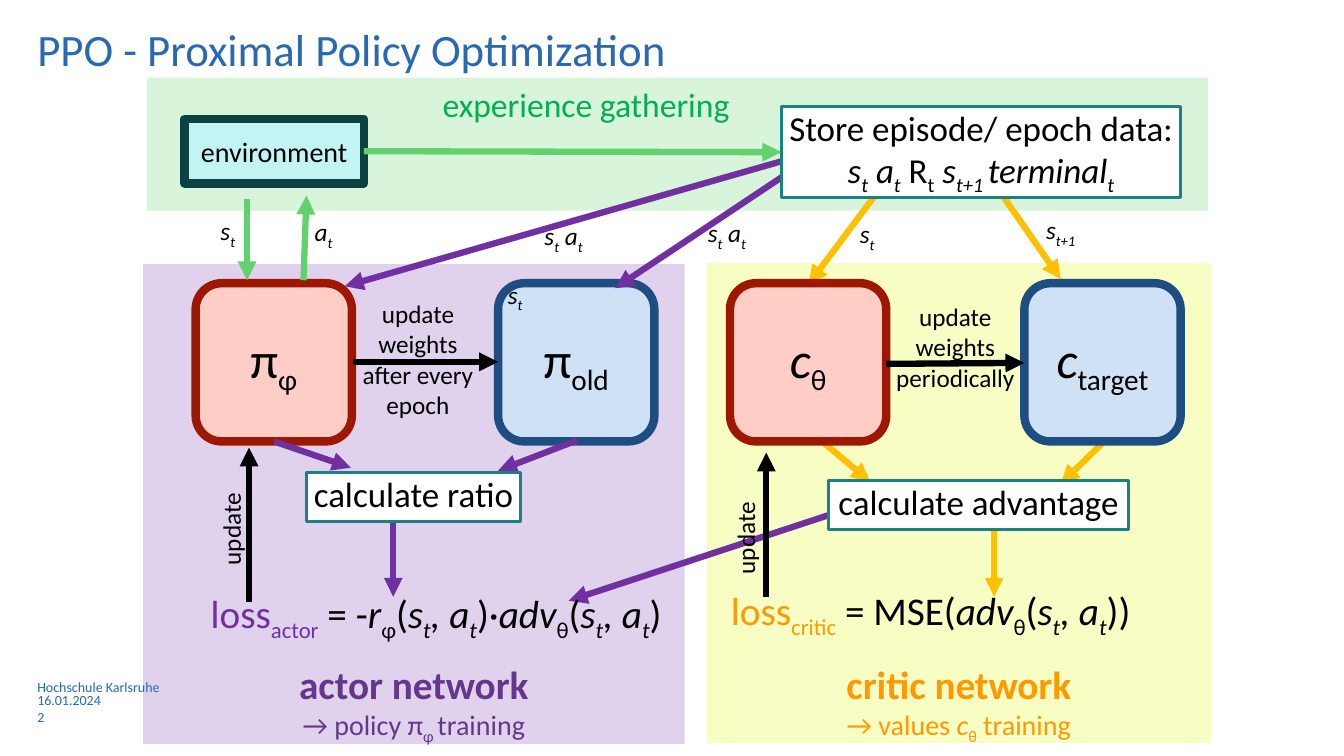
from lxml.etree import SubElement
from pptx import Presentation
from pptx.dml.color import RGBColor
from pptx.enum.shapes import MSO_CONNECTOR as Connector, MSO_SHAPE as Preset
from pptx.enum.text import MSO_ANCHOR as Anchor, PP_ALIGN as Align
from pptx.oxml.ns import qn
from pptx.util import Inches, Pt

THEME = {
    "font": "Calibri",
    "colours": {
        "ink": "000000", "white": "FFFFFF", "title": "2869AF", "teal": "198282",
        "green_panel": "D8F4DB", "purple_panel": "E0D2ED", "yellow_panel": "F7FDC3",
        "trained": "FECEC6", "trained_line": "9D1703",
        "frozen": "CFE1F4", "frozen_line": "1E4E81",
        "environment": "C3F4F4", "environment_line": "0C4141",
        "green": "64D16F", "green_text": "00B050", "yellow": "FFC000",
        "orange": "FF9900", "purple": "7030A0", "caption_purple": "64378C",
    },
    # Type sizes of the first and the following paragraphs
    "sizes": {"title": (32,), "network": (36,), "loss": (28,), "caption": (28, 20),
              "step": (25,), "heading": (24,), "environment": (20,),
              "label": (18,), "footer": (10,)},
    "lines": {"arrow": 4.5, "frame": 6, "step": 2.25},
}
CELL = Inches(1)  # the grid has square cells, one inch wide
COLUMNS, ROWS = 13.33, 7.5

colours = {name: RGBColor.from_string(code) for name, code in THEME["colours"].items()}
presentation = Presentation()
presentation.slide_width, presentation.slide_height = int(COLUMNS * CELL), int(ROWS * CELL)
slide = presentation.slides.add_slide(presentation.slide_layouts[5])


def add_box(place, markup="", role="label", colour="ink", preset=None, fill=None,
            line=None, line_width="frame", align=Align.CENTER, anchor=Anchor.TOP):
    """Add a shape, or a text box without preset.

    In the markup, * switches italics, _ switches subscript, ~ returns to ink.
    """
    lengths = [round(value * CELL) for value in place]
    if preset is None:
        shape = slide.shapes.add_textbox(*lengths)
    else:
        shape = slide.shapes.add_shape(preset, *lengths)
        shape.shadow.inherit = False
        shape.fill.solid()
        shape.fill.fore_color.rgb = colours[fill]
        if line:
            shape.line.color.rgb = colours[line]
            shape.line.width = Pt(THEME["lines"][line_width])
        else:
            shape.line.fill.background()
    frame = shape.text_frame
    frame_format = {"word_wrap": True, "vertical_anchor": anchor, "margin_left": 0,
                    "margin_right": 0, "margin_top": 0, "margin_bottom": 0}
    for name, value in frame_format.items():
        setattr(frame, name, value)
    sizes = THEME["sizes"][role]
    for number, text in enumerate(markup.split("\n") if markup else []):
        paragraph = frame.add_paragraph() if number else frame.paragraphs[0]
        paragraph.alignment = align
        italic = False
        for section, text_colour in zip(text.split("~"), (colour, "ink")):
            for level, piece in enumerate(section.split("_")):
                for switch, words in enumerate(piece.split("*")):
                    italic = italic != (switch > 0)
                    if not words:
                        continue
                    run = paragraph.add_run()
                    run.text = words
                    run_format = {"name": THEME["font"], "italic": italic,
                                  "size": Pt(sizes[min(number, len(sizes) - 1)]),
                                  "bold": role == "caption" and number == 0}
                    for name, value in run_format.items():
                        setattr(run.font, name, value)
                    run.font.color.rgb = colours[text_colour]
                    if level % 2:
                        run.font._element.set("baseline", "-25000")
    return shape


def add_arrows(colour, routes):
    for route in routes:
        ends = [round(value * CELL) for value in route]
        arrow = slide.shapes.add_connector(Connector.STRAIGHT, *ends)
        arrow.line.color.rgb = colours[colour]
        arrow.line.width = Pt(THEME["lines"]["arrow"])
        SubElement(arrow.line._get_or_add_ln(), qn("a:tailEnd"), type="triangle")
        SubElement(arrow._element.spPr, qn("a:effectLst"))


# Panels
panels = {"yellow_panel": (7.01, 2.61, 5, 4.76), "purple_panel": (1.42, 2.62, 5.37, 4.76),
          "green_panel": (1.46, 0.77, 10.52, 1.32)}
for fill, place in panels.items():
    add_box(place, preset=Preset.RECTANGLE, fill=fill)

# Title and footer
title = slide.shapes.title
title_place = {"left": 0.37, "top": 0.33, "width": 11.93, "height": 0.5}
for name, value in title_place.items():
    setattr(title, name, round(value * CELL))
title.text = "PPO - Proximal Policy Optimization"
title_frame = {"vertical_anchor": Anchor.TOP, "margin_left": 0, "margin_right": 0,
               "margin_top": 0, "margin_bottom": 0}
for name, value in title_frame.items():
    setattr(title.text_frame, name, value)
paragraph = title.text_frame.paragraphs[0]
paragraph.alignment, paragraph.line_spacing = Align.LEFT, Pt(30)
paragraph.font.name, paragraph.font.size = THEME["font"], Pt(THEME["sizes"]["title"][0])
paragraph.font.color.rgb = colours["title"]

for top, text in ((6.73, "Hochschule Karlsruhe"), (6.86, "16.01.2024"), (7.03, "2")):
    add_box((0.37, top, 3, 0.15), text, "footer", "title", align=Align.LEFT)

# Environment and networks, with the yellow arrows below them
add_arrows("yellow", [(8.7, 1.91, 8.02, 2.82), (9.95, 1.95, 10.52, 2.77),
                      (8.18, 4.4, 8.63, 4.78), (10.94, 4.39, 10.52, 4.8),
                      (9.86, 5.2, 9.86, 5.92)])
add_box((1.83, 1.18, 1.78, 0.64), "environment", "environment", preset=Preset.RECTANGLE,
        fill="environment", line="environment_line", anchor=Anchor.MIDDLE)
networks = [(1.94, "π_φ_", "trained"), (4.94, "π_old_", "frozen"),
            (7.24, "*c*_θ_", "trained"), (10.16, "*c*_target_", "frozen")]
for left, name, state in networks:
    add_box((left, 2.81, 1.55, 1.57), name, "network", preset=Preset.ROUNDED_RECTANGLE,
            fill=state, line=state + "_line", anchor=Anchor.MIDDLE)

# Data flow and weight updates
add_arrows("green", [(2.45, 1.97, 2.45, 2.78), (3.01, 2.78, 3.04, 1.94),
                     (3.61, 1.5, 7.75, 1.51)])
add_arrows("purple", [(7.75, 1.6, 3.42, 2.84), (7.78, 1.74, 6.1, 2.86),
                      (8.22, 5.11, 5.64, 5.96), (5.72, 4.37, 4.94, 4.67),
                      (2.72, 4.38, 3.48, 4.64), (3.9, 5.17, 3.9, 5.92)])
add_arrows("ink", [(3.5, 3.59, 4.94, 3.59), (8.79, 3.61, 10.16, 3.6),
                   (2.47, 5.97, 2.47, 4.44), (7.6, 5.92, 7.6, 4.49)])

# Arrow labels
labels = [(2.08, 2.14, 0.36, "*s_t_"), (3.03, 2.15, 0.36, "*a_t_"),
          (4.93, 2.77, 0.36, "*s_t_"), (5.28, 2.19, 0.62, "*s_t_ a_t_"),
          (6.9, 2.16, 0.62, "*s_t_ a_t_"), (8.29, 2.17, 0.62, "*s_t_"),
          (10.21, 2.13, 0.62, "*s_t+1_"),
          (3.57, 2.96, 1.15, "update weights\nafter every\nepoch"),
          (8.43, 2.99, 2.09, "update\nweights\nperiodically")]
for left, top, width, text in labels:
    add_box((left, top, width, 0.34 * (1 + text.count("\n"))), text)
for left, top in ((1.76, 5.11), (6.86, 5.2)):
    add_box((left, top, 1.04, 0.28), "update").rotation = 270

# Processing steps
steps = [((3.04, 4.69, 2.12, 0.48), "calculate ratio"),
         ((8.22, 4.77, 2.97, 0.48), "calculate advantage"),
         ((7.75, 1.06, 3.96, 0.9),
          "Store episode/ epoch data:\n*s_t_ a_t_ *R_t_ *s_t+1 _terminal_t_")]
for place, text in steps:
    add_box(place, text, "step", preset=Preset.RECTANGLE, fill="white", line="teal",
            line_width="step")

# Losses and captions
add_box((4.39, 0.83, 3.43, 0.91), "experience gathering", "heading", "green_text",
        align=Align.LEFT)
losses = [((2.09, 5.85, 4.76, 0.63), "purple",
           "loss_actor_~ = -*r*_φ_(*s_t_, a_t_*)·*adv*_θ_(*s_t_, a_t_*)"),
          ((7.25, 5.82, 4.15, 0.63), "orange",
           "loss_critic_~ = MSE(*adv*_θ_(*s_t_, a_t_*))")]
for place, colour, text in losses:
    add_box(place, text, "loss", colour, align=Align.LEFT)
captions = [((1.42, 6.55, 5.37, 0.91), "caption_purple",
             "actor network\n→ policy π_φ _training"),
            ((7.01, 6.55, 5, 0.91), "orange",
             "critic network\n→ values *c*_θ_ training")]
for place, colour, text in captions:
    add_box(place, text, "caption", colour)

presentation.save("out.pptx")
